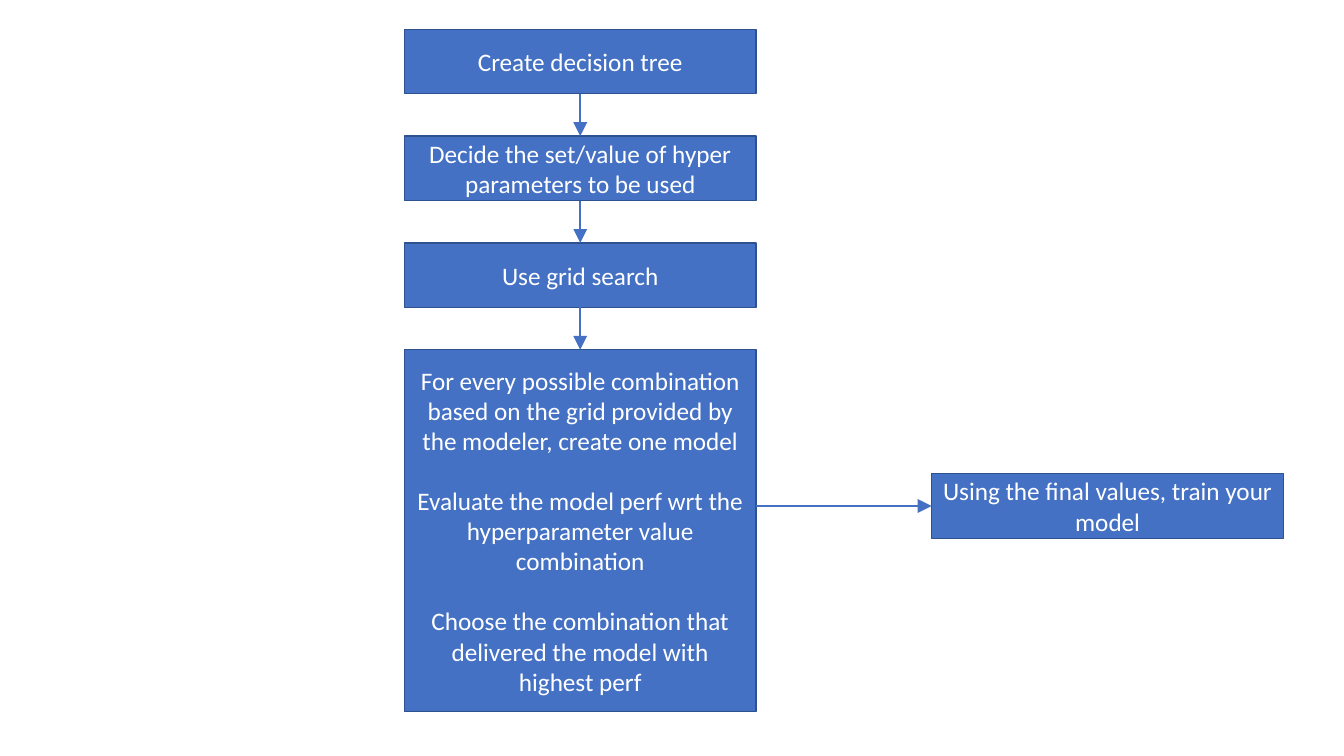
"""Build a flowchart slide on tuning a decision tree with grid search."""
from pptx import Presentation
from pptx.dml.color import RGBColor
from pptx.enum.shapes import MSO_CONNECTOR as CONNECTOR, MSO_SHAPE as SHAPE
from pptx.enum.text import MSO_ANCHOR as ANCHOR, PP_ALIGN as ALIGN
from pptx.oxml.ns import qn
from pptx.util import Inches, Pt
from lxml.etree import SubElement

BLUE = RGBColor(0x44, 0x71, 0xC4)
NAVY = RGBColor(0x2E, 0x52, 0x8F)
WHITE = RGBColor(0xFF, 0xFF, 0xFF)

STEPS = [
    [["Create decision tree"]],
    [["Decide the set/value of hyper", "parameters to be used"]],
    [["Use grid search"]],
    [
        ["For every possible combination", "based on the grid provided by",
         "the modeler, create one model"],
        ["Evaluate the model perf wrt the", "hyperparameter value", "combination"],
        ["Choose the combination that", "delivered the model with", "highest perf"],
    ],
]
FINAL_STEP = [["Using the final values, train your", "model"]]

STEP_LEFT, STEP_TOP, STEP_PITCH = 4.01, 0.29, 1.06
STEP_WIDTH, STEP_HEIGHT, SEARCH_HEIGHT = 3.49, 0.64, 3.59
FINAL_LEFT, FINAL_TOP = 9.24, 4.7
LINE_PITCH = Pt(21.5)
TOP, LEFT, BOTTOM = 0, 1, 2


def add_step(page, left, top, height, paragraphs):
    box = page.shapes.add_shape(SHAPE.RECTANGLE, Inches(left), Inches(top),
                                Inches(STEP_WIDTH), Inches(height))
    box.shadow.inherit = False
    box.fill.solid()
    box.fill.fore_color.rgb = BLUE
    box.line.color.rgb = NAVY
    box.line.width = Pt(0.96)
    frame = box.text_frame
    frame.word_wrap = True
    frame.vertical_anchor = ANCHOR.MIDDLE
    frame.margin_left = frame.margin_right = 0
    frame.margin_top = frame.margin_bottom = 0
    for index, lines in enumerate(paragraphs):
        para = frame.add_paragraph() if index else frame.paragraphs[0]
        para.alignment = ALIGN.CENTER
        para.line_spacing = LINE_PITCH
        para.space_before = LINE_PITCH if index else Pt(0)
        for number, line in enumerate(lines):
            if number:
                para.add_line_break()
            span = para.add_run()
            span.text = line
            span.font.name = "Calibri"
            span.font.size = Pt(18)
            span.font.color.rgb = WHITE
    return box


def add_arrow(page, begin_x, begin_y, target, site):
    arrow = page.shapes.add_connector(CONNECTOR.STRAIGHT, begin_x, begin_y,
                                      begin_x, begin_y)
    arrow.end_connect(target, site)
    arrow.line.color.rgb = BLUE
    arrow.line.width = Pt(1.25)
    SubElement(arrow.line._get_or_add_ln(), qn("a:tailEnd"),
               type="triangle", w="lg", len="lg")
    SubElement(arrow._element.spPr, qn("a:effectLst"))
    return arrow


def main():
    deck = Presentation()
    deck.slide_width, deck.slide_height = Inches(13.33), Inches(7.5)
    page = deck.slides.add_slide(deck.slide_layouts[6])

    boxes = []
    for index, paragraphs in enumerate(STEPS):
        height = SEARCH_HEIGHT if len(paragraphs) > 1 else STEP_HEIGHT
        boxes.append(add_step(page, STEP_LEFT, STEP_TOP + index * STEP_PITCH,
                              height, paragraphs))
    final_box = add_step(page, FINAL_LEFT, FINAL_TOP, STEP_HEIGHT, FINAL_STEP)

    for upper, lower in zip(boxes, boxes[1:]):
        arrow = add_arrow(page, upper.left + upper.width // 2,
                          upper.top + upper.height, lower, TOP)
        arrow.begin_connect(upper, BOTTOM)
    search_box = boxes[-1]
    add_arrow(page, search_box.left + search_box.width,
              final_box.top + final_box.height // 2, final_box, LEFT)

    deck.save("out.pptx")


if __name__ == "__main__":
    main()
